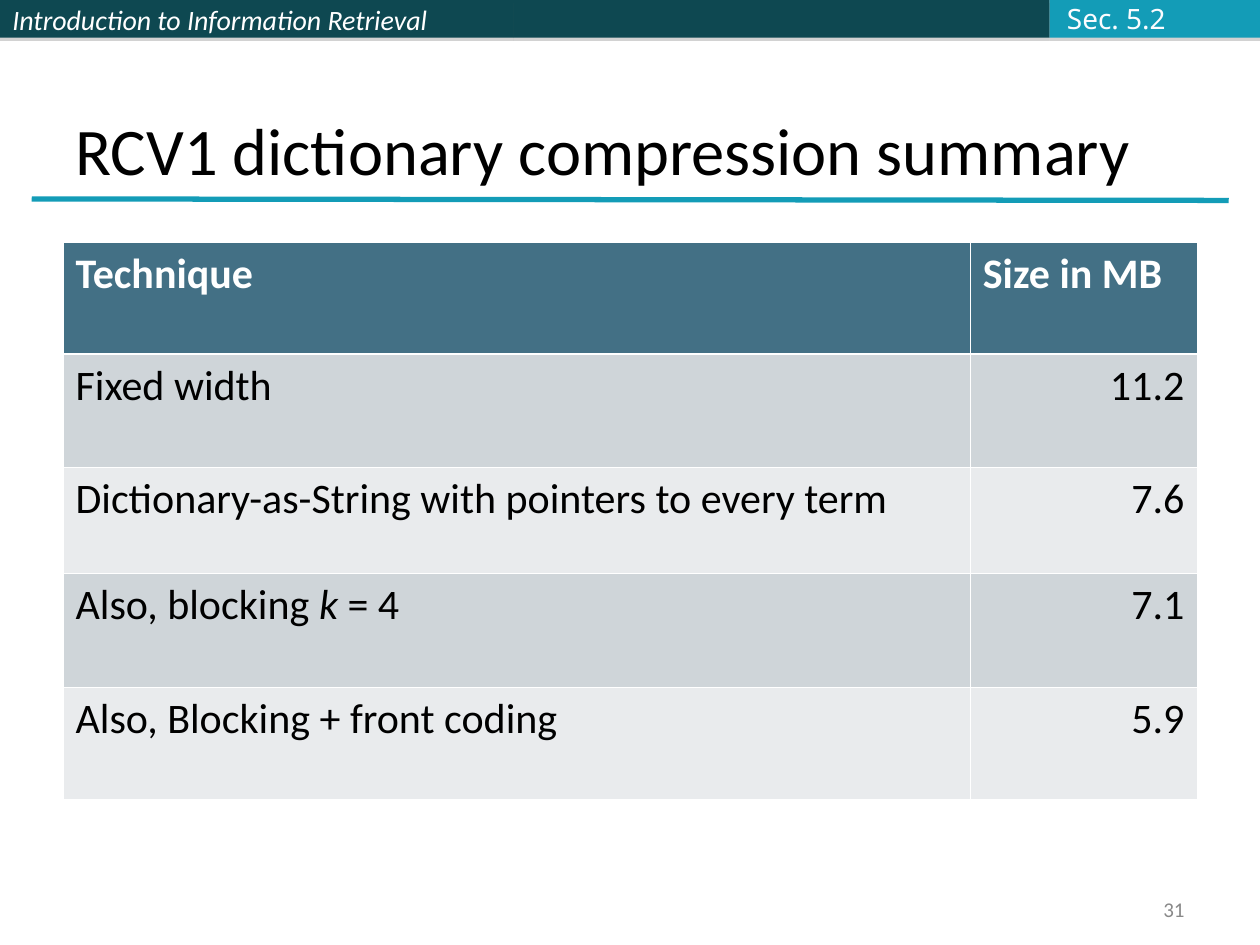
from dataclasses import dataclass

from lxml import etree
from pptx import Presentation
from pptx.dml.color import RGBColor
from pptx.enum.shapes import MSO_CONNECTOR, MSO_SHAPE
from pptx.enum.text import MSO_ANCHOR, PP_ALIGN
from pptx.oxml import parse_xml
from pptx.oxml.ns import nsdecls, qn
from pptx.util import Cm, Pt

RECT = MSO_SHAPE.RECTANGLE
STRAIGHT = MSO_CONNECTOR.STRAIGHT
MIDDLE, BOTTOM = MSO_ANCHOR.MIDDLE, MSO_ANCHOR.BOTTOM
LEFT, RIGHT = PP_ALIGN.LEFT, PP_ALIGN.RIGHT


@dataclass(frozen=True)
class Theme:
    dark: str = "0E4851"
    accent: str = "139CB7"
    shadow: str = "808080"
    header: str = "437085"
    bands: tuple = ("CFD5D9", "E9EBED")
    white: str = "FFFFFF"
    ink: str = "000000"
    pale: str = "FBFCFF"
    grey: str = "898989"
    body_font: str = "Calibri"
    tag_font: str = "Noto Sans"
    title_size: int = 38
    table_size: int = 24
    bar_size: int = 16
    number_size: int = 12
    thin: float = 0.45
    thick: float = 1.47


THEME = Theme()


@dataclass(frozen=True)
class Box:
    """A place on the slide, in centimetres."""
    left: float
    top: float
    width: float
    height: float

    def lengths(self) -> tuple:
        return Cm(self.left), Cm(self.top), Cm(self.width), Cm(self.height)


@dataclass(frozen=True)
class Style:
    size: int
    color: str
    font: str = THEME.body_font
    bold: bool = False
    italic: bool = False
    align: PP_ALIGN = LEFT


@dataclass(frozen=True)
class Label:
    text: str
    box: Box
    style: Style
    anchor: MSO_ANCHOR = MIDDLE
    wrap: bool = True


@dataclass(frozen=True)
class Bar:
    left: float
    width: float
    color: str
    text: str = ""


@dataclass(frozen=True)
class Row:
    technique: str
    size: str
    height: float
    italic_part: str = ""


BAR_HEIGHT = 0.76
BARS = [
    Bar(0, 10.36, THEME.dark, "Introduction to Information Retrieval"),
    Bar(10.36, 10.8, THEME.dark),
    Bar(21.16, 4.24, THEME.accent),
]
BAR_STYLE = Style(THEME.bar_size, THEME.white, italic=True)
LABELS = [
    Label("RCV1 dictionary compression summary", Box(1.27, 0.76, 22.86, 3.18),
          Style(THEME.title_size, THEME.ink), BOTTOM),
    Label("Sec. 5.2", Box(21.26, -0.1, 2.49, 0.94),
          Style(THEME.bar_size, THEME.pale, THEME.tag_font), wrap=False),
    Label("31", Box(18.21, 17.98, 5.92, 0.69),
          Style(THEME.number_size, THEME.grey, align=RIGHT)),
]
COLUMNS = (18.29, 4.57)
ROWS = [
    Row("Technique", "Size in MB", 2.26),
    Row("Fixed width", "11.2", 2.29),
    Row("Dictionary-as-String with pointers to every term", "7.6", 2.13),
    Row("Also, blocking k = 4", "7.1", 2.29, "k "),
    Row("Also, Blocking + front coding", "5.9", 2.26),
]


def write(tf, text: str, style: Style, italic_part: str = "") -> None:
    """Fill the first paragraph, setting italic_part in italics."""
    p = tf.paragraphs[0]
    p.alignment = style.align
    before, part, after = text.partition(italic_part) if italic_part else (text, "", "")
    for piece, italic in ((before, style.italic), (part, True), (after, style.italic)):
        if not piece:
            continue
        r = p.add_run()
        r.text = piece
        values = {"name": style.font, "size": Pt(style.size),
                  "bold": style.bold, "italic": italic}
        for name, value in values.items():
            setattr(r.font, name, value)
        r.font.color.rgb = RGBColor.from_string(style.color)


def add_bar(s, bar: Bar) -> None:
    sp = s.shapes.add_shape(RECT, *Box(bar.left, 0, bar.width, BAR_HEIGHT).lengths())
    sp.fill.solid()
    sp.fill.fore_color.rgb = RGBColor.from_string(bar.color)
    sp.line.fill.background()
    sp.shadow.inherit = False
    effects = sp._element.spPr.find(qn("a:effectLst"))
    effects.append(parse_xml(
        f'<a:outerShdw {nsdecls("a")} blurRad="0" dist="{Pt(1.8)}" dir="5400000" rotWithShape="0">'
        f'<a:srgbClr val="{THEME.shadow}"><a:alpha val="35000"/></a:srgbClr></a:outerShdw>'))
    if bar.text:
        sp.text_frame.vertical_anchor = MIDDLE
        write(sp.text_frame, bar.text, BAR_STYLE)


def add_label(s, label: Label) -> None:
    tf = s.shapes.add_textbox(*label.box.lengths()).text_frame
    tf.word_wrap = label.wrap
    tf.vertical_anchor = label.anchor
    write(tf, label.text, label.style)


def add_title_rule(s) -> None:
    line = s.shapes.add_connector(STRAIGHT, Cm(0.64), Cm(4.01), Cm(24.77), Cm(4.04))
    line.line.color.rgb = RGBColor.from_string(THEME.accent)
    line.line.width = Pt(3)
    etree.SubElement(line._element.spPr, qn("a:effectLst"))


def set_borders(cell, top: float, bottom: float) -> None:
    """Put white borders before the fill, as the schema asks."""
    widths = {"lnL": THEME.thin, "lnR": THEME.thin, "lnT": top, "lnB": bottom}
    for i, (tag, width) in enumerate(widths.items()):
        cell._tc.get_or_add_tcPr().insert(i, parse_xml(
            f'<a:{tag} {nsdecls("a")} w="{Pt(width)}"><a:solidFill>'
            f'<a:srgbClr val="{THEME.white}"/></a:solidFill></a:{tag}>'))


def add_size_table(s) -> None:
    box = Box(1.27, 4.88, sum(COLUMNS), sum(row.height for row in ROWS))
    table = s.shapes.add_table(len(ROWS), len(COLUMNS), *box.lengths()).table
    for column, width in zip(table.columns, COLUMNS):
        column.width = Cm(width)
    for i, row in enumerate(ROWS):
        table.rows[i].height = Cm(row.height)
        head = i == 0
        fill = THEME.header if head else THEME.bands[(i - 1) % 2]
        for j, text in enumerate((row.technique, row.size)):
            cell = table.cell(i, j)
            cell.fill.solid()
            cell.fill.fore_color.rgb = RGBColor.from_string(fill)
            set_borders(cell, THEME.thick if i == 1 else THEME.thin,
                        THEME.thick if head else THEME.thin)
            style = Style(THEME.table_size, THEME.white if head else THEME.ink,
                          bold=head, align=RIGHT if j and not head else LEFT)
            write(cell.text_frame, text, style, "" if j else row.italic_part)


def main() -> None:
    prs = Presentation()
    prs.slide_width, prs.slide_height = Cm(25.4), Cm(19.05)
    s = prs.slides.add_slide(prs.slide_layouts[6])
    for bar in BARS:
        add_bar(s, bar)
    add_title_rule(s)
    add_size_table(s)
    for label in LABELS:
        add_label(s, label)
    prs.save("out.pptx")


if __name__ == "__main__":
    main()
